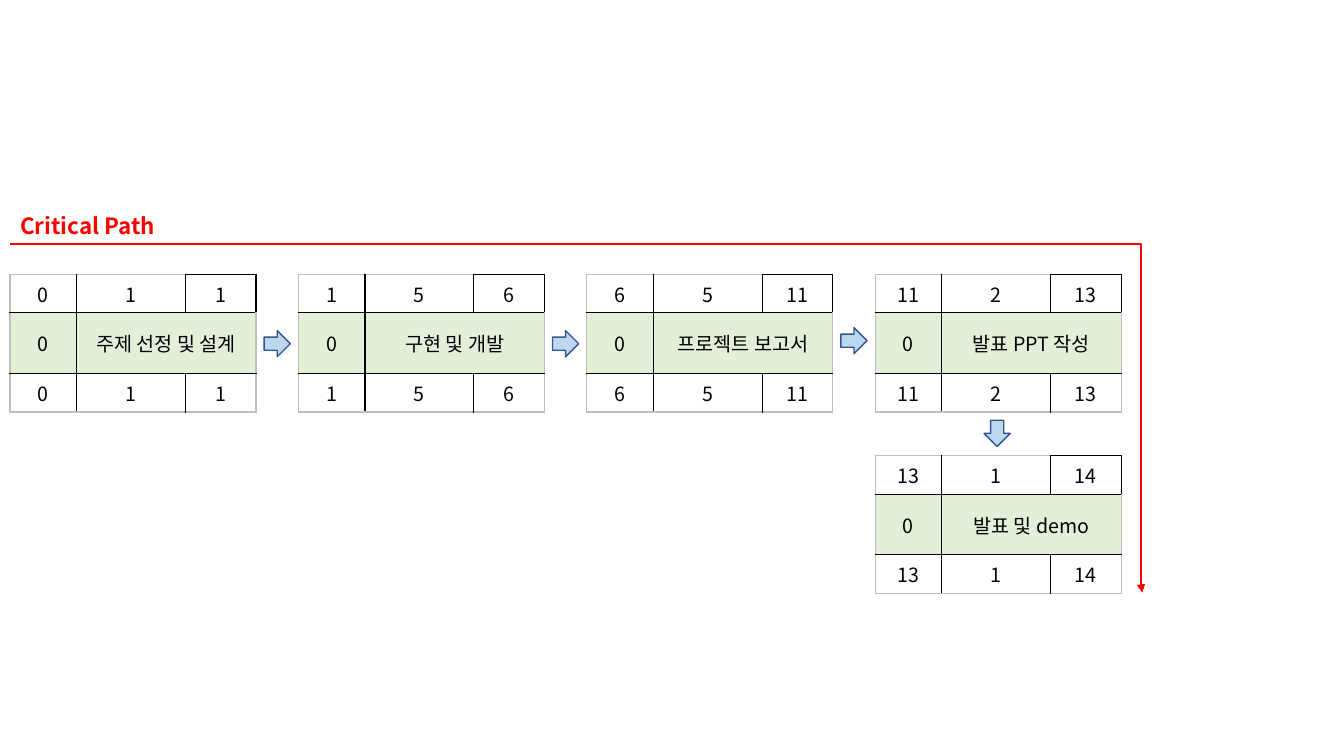
"""Build a critical path slide of linked task tables."""
from lxml import etree
from pptx import Presentation
from pptx import util as u
from pptx.dml.color import RGBColor
from pptx.enum import shapes, text
from pptx.oxml import ns

COLORS = {"text": "000000", "path": "FF0000", "band": "E2F0D9", "cell": "FFFFFF",
          "arrow": "BDD7EE", "arrow_line": "325491", "inner": "000000", "outer": "BFBFBF"}
LEFT, STEP, TOP, LOWER_TOP = 0.1, 2.86, 2.72, 4.52
COLUMNS, ROWS = (0.66, 1.08, 0.7), (0.38, 0.6, 0.38)
ARROW = 0.26


class SlideBuilder:
    """Hold the style and the current slide."""

    def __init__(self, deck, font, colors):
        """Add a title-only slide."""
        self.slide = deck.slides.add_slide(deck.slide_layouts[5])
        self.font = font
        self.colors = {name: RGBColor.from_string(value) for name, value in colors.items()}

    def add_span(self, para, words, size, color, bold=False):
        """Add one formatted run to a paragraph."""
        span = para.add_run()
        span.text = words
        span.font.name = self.font
        span.font.size = u.Pt(size)
        span.font.bold = bold
        span.font.color.rgb = self.colors[color]
        east_asian = etree.SubElement(span.font._element, ns.qn("a:ea"))
        east_asian.set("typeface", self.font)

    def title(self, words, left, top, width, height):
        """Place and format the title."""
        box = self.slide.shapes.title
        box.left, box.top, box.width, box.height = map(u.Inches, (left, top, width, height))
        frame = box.text_frame
        frame.auto_size = text.MSO_AUTO_SIZE.NONE
        frame.vertical_anchor = text.MSO_ANCHOR.TOP
        para = frame.paragraphs[0]
        para.alignment = text.PP_ALIGN.LEFT
        self.add_span(para, words, 16, "path", True)

    def border(self, side, color):
        """Return one cell border."""
        line = etree.Element(ns.qn(f"a:{side}"), w=str(u.Pt(1)))
        fill = etree.SubElement(line, ns.qn("a:solidFill"))
        etree.SubElement(fill, ns.qn("a:srgbClr"), val=str(self.colors[color]))
        return line

    def cell(self, cell, row, column, words):
        """Fill, frame and label one table cell."""
        cell.fill.solid()
        cell.fill.fore_color.rgb = self.colors["band" if row == 1 else "cell"]
        cell.vertical_anchor = text.MSO_ANCHOR.MIDDLE
        corner = (row, column) == (0, 2)
        last = column == 2 or (row, column) == (1, 1)
        edges = {"lnL": column == 0, "lnR": last and not corner,
                 "lnT": row == 0 and not corner, "lnB": row == 2}
        properties = cell._tc.get_or_add_tcPr()
        for index, (side, outside) in enumerate(edges.items()):
            properties.insert(index, self.border(side, "outer" if outside else "inner"))
        if words:
            para = cell.text_frame.paragraphs[0]
            para.alignment = text.PP_ALIGN.CENTER
            self.add_span(para, words, 14, "text")

    def task(self, name, start, duration, finish, left, top):
        """Add a task table with its early and late dates."""
        frame = self.slide.shapes.add_table(
            3, 3, *map(u.Inches, (left, top, sum(COLUMNS), sum(ROWS))))
        table = frame.table
        for column, width in zip(table.columns, COLUMNS):
            column.width = u.Inches(width)
        for row, height in zip(table.rows, ROWS):
            row.height = u.Inches(height)
        table.cell(1, 1).merge(table.cell(1, 2))
        dates = [str(value) for value in (start, duration, finish)]
        for row, values in enumerate((dates, ["0", name, ""], dates)):
            for column, words in enumerate(values):
                self.cell(table.cell(row, column), row, column, words)

    def arrow(self, left, top, rotation=0):
        """Add a block arrow."""
        box = self.slide.shapes.add_shape(
            shapes.MSO_SHAPE.RIGHT_ARROW, *map(u.Inches, (left, top, ARROW, ARROW)))
        box.rotation = rotation
        box.shadow.inherit = False
        box.fill.solid()
        box.fill.fore_color.rgb = self.colors["arrow"]
        box.line.color.rgb = self.colors["arrow_line"]
        box.line.width = u.Pt(1)

    def path_line(self, left, top, right, bottom):
        """Add the bent line that ends in an arrowhead."""
        link = self.slide.shapes.add_connector(
            shapes.MSO_CONNECTOR.ELBOW, *map(u.Inches, (left, top, right, bottom)))
        link.line.color.rgb = self.colors["path"]
        link.line.width = u.Pt(1)
        etree.SubElement(link.line._get_or_add_ln(), ns.qn("a:tailEnd"), type="triangle")
        properties = link._element.spPr
        etree.SubElement(properties, ns.qn("a:effectLst"))
        guides = properties.find(ns.qn("a:prstGeom")).find(ns.qn("a:avLst"))
        etree.SubElement(guides, ns.qn("a:gd"), name="adj1", fmla="val 99900")


deck = Presentation()
deck.slide_width, deck.slide_height = u.Inches(13.33), u.Inches(7.5)
page = SlideBuilder(deck, "Noto Sans CJK KR", COLORS)
page.title("Critical Path", LEFT, 2.05, 1.66, 0.37)

tasks = [("주제 선정 및 설계", 0, 1, 1), ("구현 및 개발", 1, 5, 6),
         ("프로젝트 보고서", 6, 5, 11), ("발표 PPT 작성", 11, 2, 13)]
for index, task in enumerate(tasks):
    page.task(*task, LEFT + index * STEP, TOP)
page.task("발표 및 demo", 13, 1, 14, LEFT + 3 * STEP, LOWER_TOP)

page.path_line(LEFT, 2.42, 11.33, 5.88)
for index, arrow_top in enumerate((3.28, 3.28, 3.25)):
    page.arrow(2.62 + index * STEP, arrow_top)
page.arrow(9.76, 4.17, 90)
deck.save("out.pptx")
